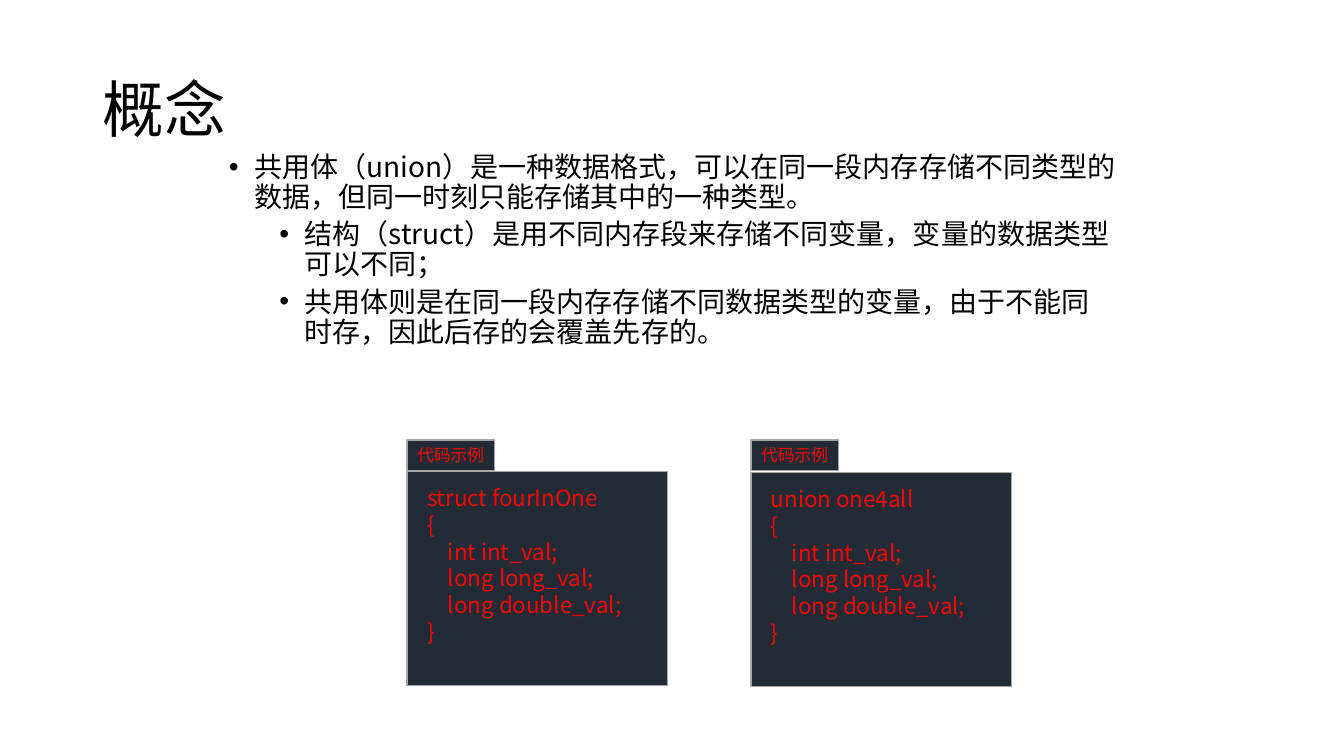
"""Build the slide that explains the concept of a union in C++."""
from dataclasses import dataclass

from lxml import etree
from pptx import Presentation
from pptx import util as u
from pptx.dml.color import RGBColor
from pptx.enum import shapes, text
from pptx.oxml import ns

EMU_PER_PX = 12192000 / 1344


def px(length):
    """Turn whole pixels into EMU."""
    return u.Emu(round(length * EMU_PER_PX))


@dataclass(frozen=True)
class Theme:
    """Colours, font and type sizes."""
    font: str = "Noto Sans CJK SC"
    ink: str = "000000"
    code_ink: str = "FF0000"
    panel: str = "222A35"
    border: str = "A5A5A5"
    title: int = 44
    body: int = 20
    code: int = 16
    label: int = 12


class SlideBuilder:
    """Draw styled elements on the current slide."""

    def __init__(self, slide, theme):
        """Keep the slide and its style."""
        self.slide = slide
        self.theme = theme

    def style(self, paragraph, size, color):
        """Set the font for Latin and East Asian text."""
        font = paragraph.font
        font.size = u.Pt(size)
        font.name = self.theme.font
        font.color.rgb = RGBColor.from_string(color)
        run_style = paragraph._p.pPr.find(ns.qn("a:defRPr"))
        etree.SubElement(run_style, ns.qn("a:ea"), typeface=self.theme.font)
        return run_style

    def paragraphs(self, frame, lines, size, color):
        """Yield each line's styled paragraph with its run style."""
        for index, line in enumerate(lines):
            paragraph = frame.paragraphs[0] if index == 0 else frame.add_paragraph()
            paragraph.text = line
            paragraph.alignment = text.PP_ALIGN.LEFT
            yield paragraph, self.style(paragraph, size, color)

    def text_frame(self, left, top, width, height):
        """Add a wrapping text box and return its frame."""
        frame = self.slide.shapes.add_textbox(
            px(left), px(top), px(width), px(height)).text_frame
        frame.word_wrap = True
        return frame

    def title(self, wording, left, top, width, height):
        """Add the title."""
        frame = self.text_frame(left, top, width, height)
        frame.vertical_anchor = text.MSO_ANCHOR.MIDDLE
        for paragraph, _ in self.paragraphs(
                frame, [wording], self.theme.title, self.theme.ink):
            paragraph.line_spacing = 0.9

    def bullets(self, items, left, top, width, height):
        """Add bullets from pairs of level and wording."""
        frame = self.text_frame(left, top, width, height)
        levels, lines = zip(*items)
        styled = self.paragraphs(frame, lines, self.theme.body, self.theme.ink)
        for level, (paragraph, run_style) in zip(levels, styled):
            paragraph.level = level
            paragraph.line_spacing = 0.9
            paragraph.space_before = u.Pt(5 if level else 10)
            properties = paragraph._p.pPr
            properties.set("marL", str(u.Inches(0.25 + 0.5 * level)))
            properties.set("indent", str(u.Inches(-0.25)))
            for tag, name, value in (("a:buFont", "typeface", "Arial"),
                                     ("a:buChar", "char", "•")):
                run_style.addprevious(
                    etree.Element(ns.qn(tag), {name: value}))

    def panel(self, left, top, width, height, inset_x, inset_y):
        """Add a dark bordered rectangle and return its text frame."""
        box = self.slide.shapes.add_shape(
            shapes.MSO_SHAPE.RECTANGLE, px(left), px(top), px(width), px(height))
        box.shadow.inherit = False
        box.fill.solid()
        box.fill.fore_color.rgb = RGBColor.from_string(self.theme.panel)
        box.line.color.rgb = RGBColor.from_string(self.theme.border)
        box.line.width = u.Pt(0.75)
        frame = box.text_frame
        frame.vertical_anchor = text.MSO_ANCHOR.TOP
        frame.margin_left = frame.margin_right = px(inset_x)
        frame.margin_top = frame.margin_bottom = px(inset_y)
        return frame

    def code_example(self, heading, left, top):
        """Add a code panel with its label tab above."""
        code = self.panel(left, top, 261, 214, 20, 12)
        code.word_wrap = True
        members = ["int int_val;", "long long_val;", "long double_val;"]
        lines = [heading, "{", *members, "}"]
        for paragraph, _ in self.paragraphs(
                code, lines, self.theme.code, self.theme.code_ink):
            if paragraph.text in members:
                paragraph._p.pPr.set("marL", str(px(21)))
        label = self.panel(left, 440, 88, 31, 10, 5)
        label.word_wrap = False
        list(self.paragraphs(
            label, ["代码示例"], self.theme.label, self.theme.code_ink))


def main():
    """Build and save the deck."""
    deck = Presentation()
    deck.slide_width, deck.slide_height = px(1344), px(756)
    page = SlideBuilder(deck.slides.add_slide(deck.slide_layouts[6]), Theme())
    page.title("概念", 93, 40, 1159, 146)
    page.bullets([
        (0, "共用体（union）是一种数据格式，可以在同一段内存存储不同类型的数据，但同一时刻只能存储其中的一种类型。"),
        (1, "结构（struct）是用不同内存段来存储不同变量，变量的数据类型可以不同；"),
        (1, "共用体则是在同一段内存存储不同数据类型的变量，由于不能同时存，因此后存的会覆盖先存的。"),
    ], 219, 148, 907, 563)
    page.code_example("union one4all", 751, 473)
    page.code_example("struct fourInOne", 407, 472)
    deck.save("out.pptx")


if __name__ == "__main__":
    main()
